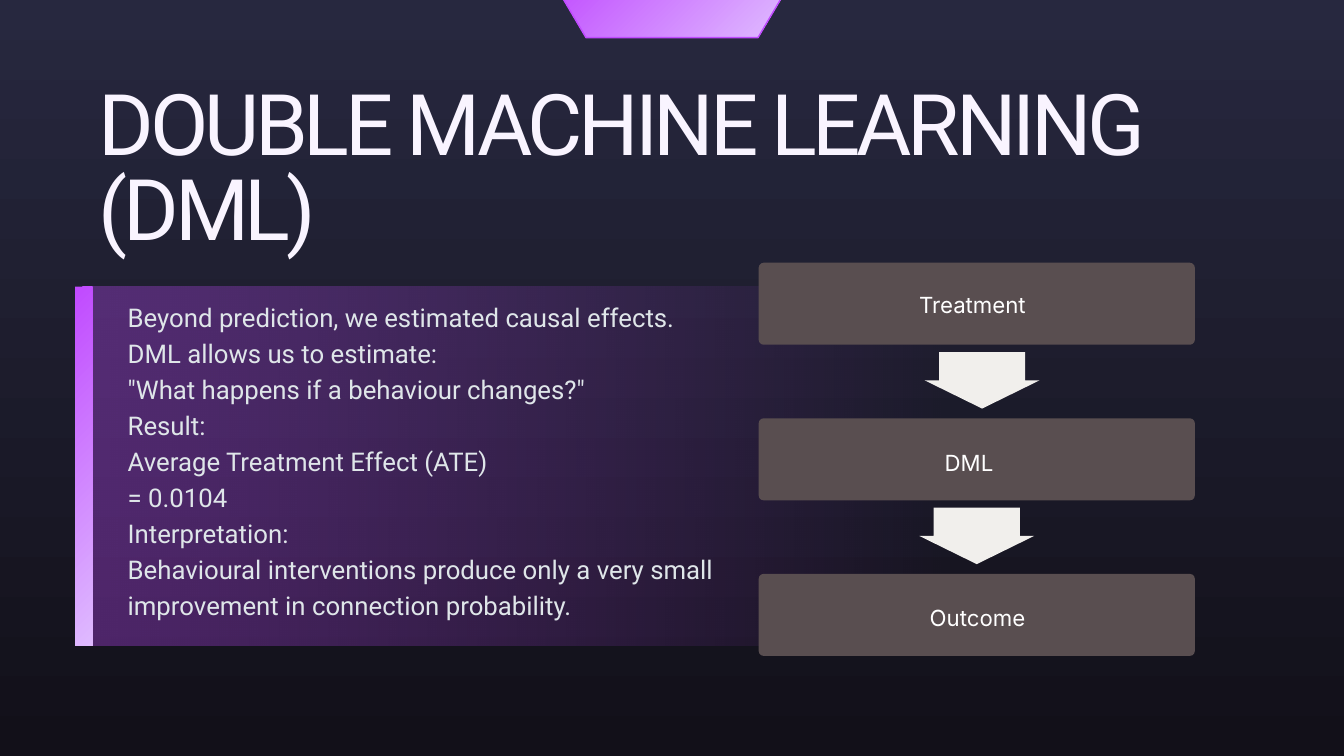
"""Build the Double Machine Learning slide with its explanation and flow of three steps."""
from dataclasses import dataclass

from pptx import Presentation
from pptx.dml.color import RGBColor
from pptx.enum.shapes import MSO_SHAPE
from pptx.enum.text import MSO_AUTO_SIZE, PP_ALIGN
from pptx.oxml.ns import qn
from pptx.util import Inches, Pt


@dataclass(frozen=True)
class Theme:
    night: tuple = ("27283F", "121019")
    violet: tuple = ("C04AFF", "DFBAFF")
    glow: tuple = ("C04AFF", "C04AFF")
    card: str = "594E50"
    arrow: str = "F1EFEC"
    heading: str = "F9F4FF"
    body: str = "DFE6E9"
    label: str = "FFFFFF"
    heading_size: float = 91
    body_size: float = 27.6
    label_size: float = 23.8


class SlideBuilder:
    def __init__(self, slide, theme):
        self.slide = slide
        self.theme = theme

    def gradient(self, fill, colors, angle):
        fill.gradient()
        fill.gradient_angle = -angle % 360
        for position, (stop, color) in enumerate(zip(fill.gradient_stops, colors)):
            stop.position = position
            stop.color.rgb = RGBColor.from_string(color)

    def backdrop(self):
        self.gradient(self.slide.background.fill, self.theme.night, 90)

    def shape(self, kind, box, paint, angle=0, adjustments=(), alphas=(), outline=None):
        shape = self.slide.shapes.add_shape(kind, *map(Inches, box))
        shape.shadow.inherit = False
        for index, value in enumerate(adjustments):
            shape.adjustments[index] = value
        if isinstance(paint, tuple):
            self.gradient(shape.fill, paint, angle)
        else:
            shape.fill.solid()
            shape.fill.fore_color.rgb = RGBColor.from_string(paint)
        for color, alpha in zip(shape._element.iter(qn("a:srgbClr")), alphas):
            color.makeelement(qn("a:alpha"), {})
            color.append(color.makeelement(qn("a:alpha"), {"val": str(alpha * 1000)}))
        if outline:
            shape.line.color.rgb = RGBColor.from_string(outline)
            shape.line.width = Pt(1.5)
        else:
            shape.line.fill.background()
        return shape

    def card(self, box):
        return self.shape(MSO_SHAPE.ROUNDED_RECTANGLE, box, self.theme.card, adjustments=(0.06,))

    def arrow(self, left, top):
        return self.shape(MSO_SHAPE.DOWN_ARROW, (left, top, 1.71, 0.84), self.theme.arrow,
                          adjustments=(0.75, 0.5))

    def text(self, box, lines, size, color, font, leading, align=PP_ALIGN.LEFT, tracking=0):
        frame = self.slide.shapes.add_textbox(*map(Inches, box)).text_frame
        frame_format = {"word_wrap": True, "auto_size": MSO_AUTO_SIZE.SHAPE_TO_FIT_TEXT,
                        "margin_left": 0, "margin_top": 0, "margin_right": 0, "margin_bottom": 0}
        for name, value in frame_format.items():
            setattr(frame, name, value)
        frame.text = "\n".join(lines)
        paragraph_format = {"alignment": align, "line_spacing": Pt(leading)}
        run_format = {"size": Pt(size), "name": font}
        for paragraph in frame.paragraphs:
            for name, value in paragraph_format.items():
                setattr(paragraph, name, value)
            for run in paragraph.runs:
                for name, value in run_format.items():
                    setattr(run.font, name, value)
                run.font.color.rgb = RGBColor.from_string(color)
                if tracking:
                    run._r.get_or_add_rPr().set("spc", str(int(tracking * 100)))


def main():
    deck = Presentation()
    deck.slide_width, deck.slide_height = Inches(20), Inches(11.25)
    theme = Theme()
    builder = SlideBuilder(deck.slides.add_slide(deck.slide_layouts[6]), theme)

    builder.backdrop()
    builder.shape(MSO_SHAPE.HEXAGON, (8.39, -0.56, 3.22, 1.12), theme.violet, 45,
                  adjustments=(0.295,), outline=theme.violet[0])
    builder.shape(MSO_SHAPE.RECTANGLE, (1.12, 4.27, 13.12, 5.33), theme.glow, alphas=(35, 0))
    builder.shape(MSO_SHAPE.RECTANGLE, (1.12, 4.27, 0.26, 5.33), theme.violet, 45)

    builder.text((1.47, 1.3, 15.95, 2.59), ["DOUBLE MACHINE LEARNING (DML)"],
                 theme.heading_size, theme.heading, "Roboto", 91, tracking=-4.5)
    explanation = [
        "Beyond prediction, we estimated causal effects.",
        "DML allows us to estimate:",
        "\"What happens if a behaviour changes?\"",
        "Result:",
        "Average Treatment Effect (ATE)",
        "= 0.0104",
        "Interpretation:",
        "Behavioural interventions produce only a very small improvement in connection probability.",
    ]
    builder.text((1.9, 4.41, 9.05, 5.32), explanation,
                 theme.body_size, theme.body, "Roboto", 38.6)

    first_card, step_pitch = 3.91, 2.315
    steps = [("Treatment", 11.34, 0.36, 6.26), ("DML", 11.29, 0.39, 6.26),
             ("Outcome", 11.47, 0.39, 6.15)]
    for index, (step, left, drop, width) in enumerate(steps):
        top = first_card + index * step_pitch
        builder.card((11.29, top, 6.49, 1.22))
        builder.text((left, top + drop, width, 0.45), [step], theme.label_size, theme.label,
                     "Inter", 33.3, PP_ALIGN.CENTER)
    for index, left in enumerate((13.76, 13.68)):
        builder.arrow(left, first_card + 1.33 + index * step_pitch)

    deck.save("out.pptx")


if __name__ == "__main__":
    main()
